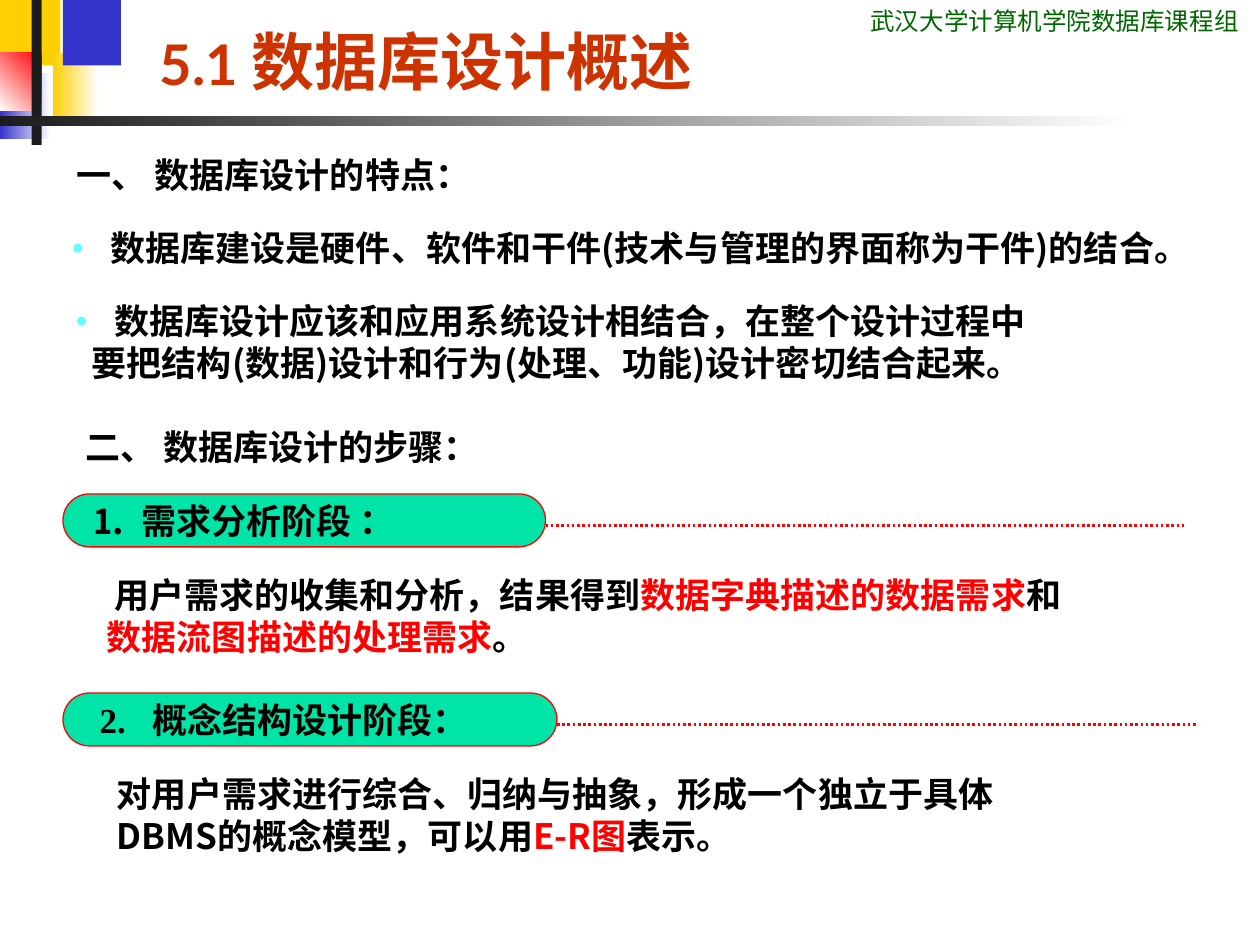
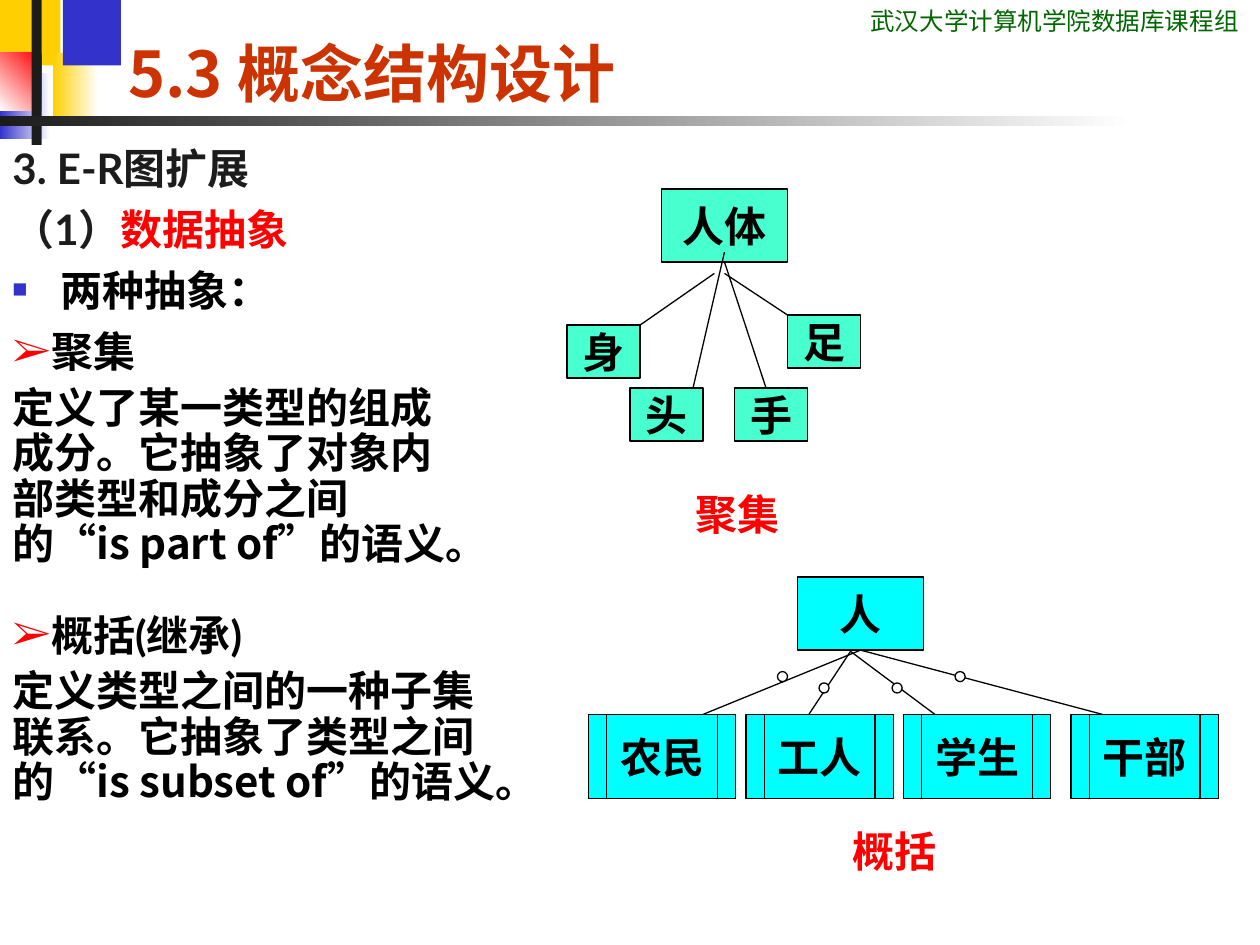
from lxml import etree
from pptx import Presentation
from pptx import util as u
from pptx.dml import color
from pptx.enum import dml, shapes, text
from pptx.oxml import ns

INK, DARK, RED, BLUE = "000000", "1C1C1C", "FF0000", "3333CC"
GOLD, WHITE, RUST, GREEN = "FFCF01", "FFFFFF", "CC3300", "006600"
MINT, AQUA, JADE, SKY = "47FFCF", "00FFFF", "00E4A8", "66FFFF"
NOTO, LATO, TIMES, ROBO = "Noto Sans CJK SC", "Lato", "Times New Roman", "Roboto Condensed"
KIND = shapes.MSO_SHAPE
SIDE, LOW = 0.1, 0.05


def rgb(code):
    """Turn a hex string into a colour."""
    return color.RGBColor.from_string(code)


def box(at):
    """Turn four numbers into inch lengths."""
    return [u.Inches(n) for n in at]


def node(parent, tag, **attrs):
    """Append a drawing element with attributes."""
    return etree.SubElement(parent, ns.qn(tag), attrs)


def run(part, words, tone=INK, font=NOTO, size=20, bold=True):
    """Add one styled run to a paragraph."""
    piece = part.add_run()
    piece.text = words
    face = piece.font
    face.size, face.bold, face.name = u.Pt(size), bold, font
    face.color.rgb = rgb(tone)
    latin = piece._r.rPr.find(ns.qn("a:latin"))
    latin.addnext(etree.Element(ns.qn("a:ea"), typeface=NOTO))


def para(frame, *runs, left=0, first=0, gap=0, lead=None, mark=None, mid=False):
    """Fill the next paragraph of a frame; mark is (sign, colour, percent)."""
    fresh = len(frame.paragraphs) == 1 and not frame.paragraphs[0].runs
    part = frame.paragraphs[0] if fresh else frame.add_paragraph()
    part.alignment = text.PP_ALIGN.CENTER if mid else text.PP_ALIGN.LEFT
    part.space_before = u.Pt(0 if fresh else gap)
    if lead:
        part.line_spacing = lead
    prop = part._p.get_or_add_pPr()
    prop.set("marL", str(u.Inches(left)))
    prop.set("indent", str(u.Inches(first)))
    if mark:
        sign, tone, size = mark
        node(node(prop, "a:buClr"), "a:srgbClr", val=tone)
        node(prop, "a:buSzPct", val=str(size * 1000))
        node(prop, "a:buFont", typeface=TIMES)
        node(prop, "a:buChar", char=sign)
    for item in runs:
        run(part, *item)


def pad(frame, wrap=True, anchor=text.MSO_ANCHOR.TOP):
    """Set the margins, wrapping and anchor of a frame."""
    frame.margin_left = frame.margin_right = u.Inches(SIDE)
    frame.margin_top = frame.margin_bottom = u.Inches(LOW)
    frame.word_wrap, frame.vertical_anchor = wrap, anchor
    return frame


def note(slide, at, *runs, anchor=text.MSO_ANCHOR.TOP, **opts):
    """Add a text box, with a first paragraph if runs are given."""
    frame = pad(slide.shapes.add_textbox(*box(at)).text_frame, anchor=anchor)
    if runs:
        para(frame, *runs, **opts)
    return frame


def shape(slide, kind, at, fill, line=None):
    """Add a plain preset shape."""
    item = slide.shapes.add_shape(kind, *box(at))
    item.shadow.inherit = False
    item.fill.solid()
    item.fill.fore_color.rgb = rgb(fill)
    if line:
        item.line.color.rgb, item.line.width = rgb(line), u.Pt(0.75)
    else:
        item.line.fill.background()
    return item


def fade(slide, at, start, end, angle=180):
    """Add a rectangle with a two-colour gradient, angle clockwise."""
    fill = shape(slide, KIND.RECTANGLE, at, start).fill
    fill.gradient()
    fill.gradient_angle = 360 - angle
    for stop, tone, place in zip(fill.gradient_stops, (start, end), (0, 1)):
        stop.color.rgb, stop.position = rgb(tone), place


def line(slide, start, end, tone=INK, width=0.75, top=None, dots=False):
    """Draw a line, joined to the bottom of the top box if given."""
    link = slide.shapes.add_connector(shapes.MSO_CONNECTOR.STRAIGHT, *box(start + end))
    if top is not None:
        link.begin_connect(top, 2)
    link.line.color.rgb, link.line.width = rgb(tone), u.Pt(width)
    if dots:
        link.line.dash_style = dml.MSO_LINE.ROUND_DOT
    node(link._element.spPr, "a:effectLst")


def cell(slide, kind, at, words, fill):
    """Add a labelled box of a diagram."""
    item = shape(slide, kind, at, fill, INK)
    frame = pad(item.text_frame, False, text.MSO_ANCHOR.MIDDLE)
    para(frame, (words, INK, TIMES, 24), mid=True)
    return item


def pill(slide, top, width, label, left, stop):
    """Add a stage heading with its dotted rule."""
    item = shape(slide, KIND.ROUNDED_RECTANGLE, (0.5, top, width, 0.42), JADE, RED)
    item.adjustments[0] = 0.5
    frame = pad(item.text_frame, anchor=text.MSO_ANCHOR.MIDDLE)
    para(frame, (label, INK, TIMES), left=stop, first=left - stop)
    edge = 0.5 + width
    line(slide, (edge, top + 0.25), (edge + 5.08, top + 0.25), RED, 1.5, dots=True)


def base(deck, at, *title):
    """Start a slide with the shared corner, band, header and title."""
    slide = deck.slides.add_slide(deck.slide_layouts[6])
    rect = KIND.RECTANGLE
    shape(slide, rect, (0, 0, 0.48, 0.52), GOLD)
    fade(slide, (0.42, 0.42, 0.36, 0.52), WHITE, GOLD)
    shape(slide, rect, (0.5, 0, 0.46, 0.52), BLUE)
    fade(slide, (0, 0.58, 0.4, 0.52), WHITE, BLUE)
    fade(slide, (0, 0.42, 0.33, 0.46), RED, WHITE, 135)
    shape(slide, rect, (0.25, 0, 0.08, 1.15), DARK)
    fade(slide, (0, 0.92, 9, 0.08), WHITE, DARK)
    note(slide, (6.81, 0, 3.19, 0.34),
         ("武汉大学计算机学院数据库课程组", GREEN, ROBO, 14, False))
    note(slide, at, *title, anchor=text.MSO_ANCHOR.BOTTOM)
    return slide


def plan(deck):
    """Build the overview of database design."""
    slide = base(deck, (1.17, 0.25, 5.42, 0.58), ("5.1 ", RUST, LATO, 32),
                 ("数据库设计", RUST, NOTO, 36), ("概述", RUST, LATO, 36))
    note(slide, (0.51, 1.17, 3.32, 0.44), ("一、 数据库设计的特点：", INK, TIMES))
    note(slide, (0.58, 3.33, 3.35, 0.44), ("二、 数据库设计的步骤：", INK, TIMES))
    dot = dict(left=0.31, first=-0.31, mark=("●", SKY, 60))
    note(slide, (0.47, 1.75, 9.53, 0.44),
         ("数据库建设是硬件、软件和干件(技术与管理的界面称为干件)的结合。",), **dot)
    frame = note(slide, (0.5, 2.33, 8.62, 0.77),
                 ("数据库设计应该和应用系统设计相结合，在整个设计过程中",), **dot)
    para(frame, ("要把结构(数据)设计和行为(处理、功能)设计密切结合起来。",), left=0.13)
    pill(slide, 3.92, 3.83, "⒈\t需求分析阶段 ：", 0.07, 0.46)
    note(slide, (0.75, 4.5, 7.83, 0.77), ("用户需求的收集和分析，结果得到",),
         ("数据字典描述的数据需求", RED), ("和",),
         ("数据流图描述的处理需求", RED), ("。",), first=0.06)
    pill(slide, 5.5, 3.92, "2.\t概念结构设计阶段：", 0.13, 0.55)
    note(slide, (0.83, 6.08, 7.83, 0.77),
         ("对用户需求进行综合、归纳与抽象，形成一个独立于具体DBMS的概念模型，可以用",),
         ("E-R图", RED), ("表示。",))


def term(slide, at, name, words):
    """Add a marked term and its meaning."""
    frame = note(slide, at, (name, INK, LATO, 24), lead=0.9, mark=("➢", RED, 100))
    para(frame, (words, INK, NOTO, 24), lead=0.9, gap=6)


def body(slide):
    """Draw the aggregation tree."""
    root = cell(slide, KIND.RECTANGLE, (5.25, 1.5, 1, 0.58), "人体", MINT)
    parts = (("头", 5, 3.08), ("足", 6.25, 2.5), ("手", 5.83, 3.08), ("身", 4.5, 2.58))
    for name, left, top in parts:
        cell(slide, KIND.RECTANGLE, (left, top, 0.58, 0.42), name, MINT)
    line(slide, (5.67, 2.17), (5.08, 2.58))
    line(slide, (5.75, 2), (5.5, 3.08))
    line(slide, (5.75, 2.08), (6.08, 3.08), top=root)
    line(slide, (5.75, 2.17), (6.25, 2.5))
    note(slide, (5.42, 3.83, 1.08, 0.5), ("聚集", RED, LATO, 24))


def folk(slide):
    """Draw the generalization tree."""
    root = cell(slide, KIND.RECTANGLE, (6.33, 4.58, 1, 0.58), "人", AQUA)
    kinds = (("农民", 4.67, 5.58, 6.17, 5.33, root), ("工人", 5.92, 6.42, 6.5, 5.42, None),
             ("学生", 7.17, 7.42, 7.08, 5.42, None), ("干部", 8.5, 8.75, 7.58, 5.33, root))
    for name, left, end, ring, top, join in kinds:
        cell(slide, KIND.FLOWCHART_PREDEFINED_PROCESS, (left, 5.67, 1.17, 0.67), name, AQUA)
        line(slide, (6.75, 5.17), (end, 5.67), top=join)
        shape(slide, KIND.OVAL, (ring, top, 0.08, 0.08), WHITE, INK)
    note(slide, (6.67, 6.5, 1.17, 0.5), ("概括", RED, LATO, 24))


def model(deck):
    """Build the slide on data abstraction."""
    slide = base(deck, (0.92, 0, 6.82, 0.92), ("5.3 概念结构设计", RUST, NOTO, 36))
    frame = note(slide, (0, 1.08, 3.75, 1.67), ("3. E-R图扩展", DARK, LATO, 24),
                 left=0.38, first=-0.38)
    hang = dict(left=0.38, first=-0.38, gap=6)
    para(frame, ("（1）", DARK, LATO, 24), ("数据抽象", RED, LATO, 24), **hang)
    para(frame, ("两种抽象：", INK, LATO, 24), mark=("■", BLUE, 60), **hang)
    body(slide)
    folk(slide)
    term(slide, (0, 2.58, 3.75, 2.35), "聚集",
         "定义了某一类型的组成成分。它抽象了对象内部类型和成分之间的“is part of”的语义。")
    term(slide, (0, 4.83, 4.17, 2.43), "概括(继承)",
         "定义类型之间的一种子集联系。它抽象了类型之间的“is subset of”的语义。")


def main():
    """Build and save the deck."""
    deck = Presentation()
    deck.slide_width, deck.slide_height = u.Inches(10), u.Inches(7.5)
    plan(deck)
    model(deck)
    deck.save("out.pptx")


if __name__ == "__main__":
    main()
